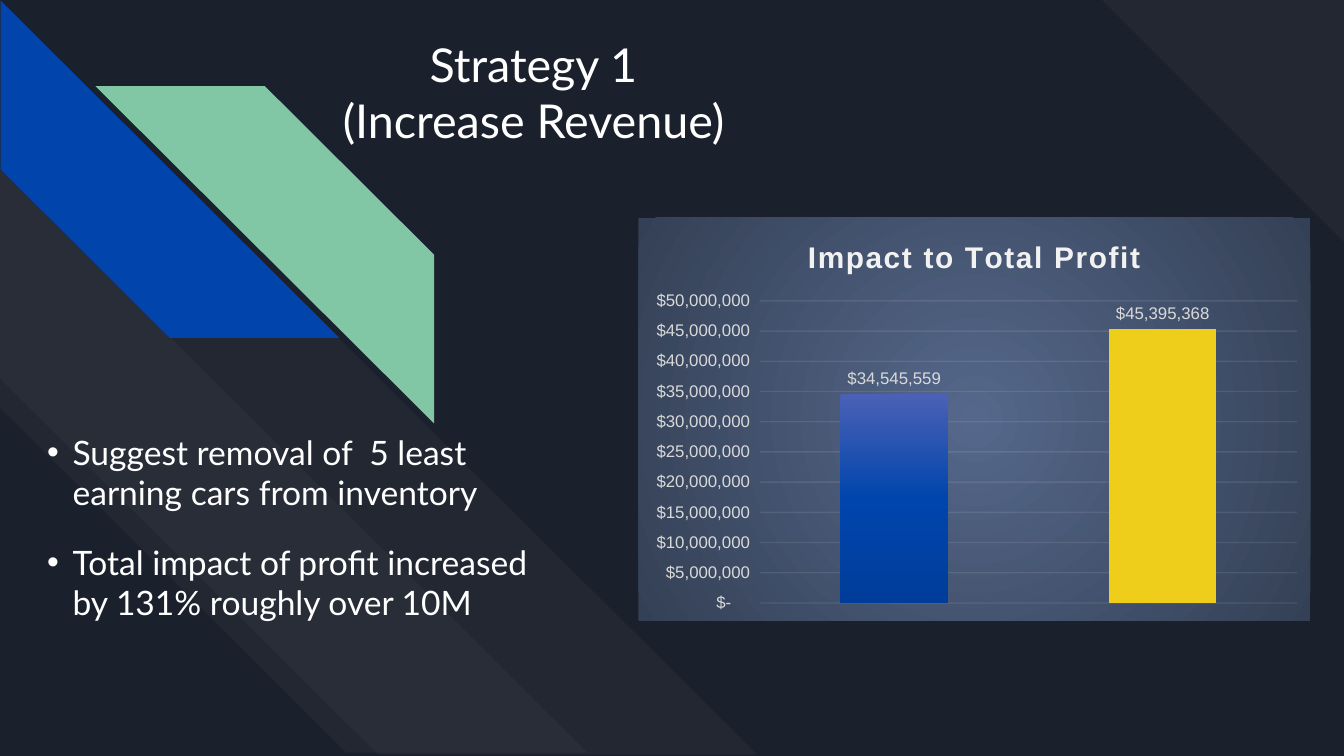
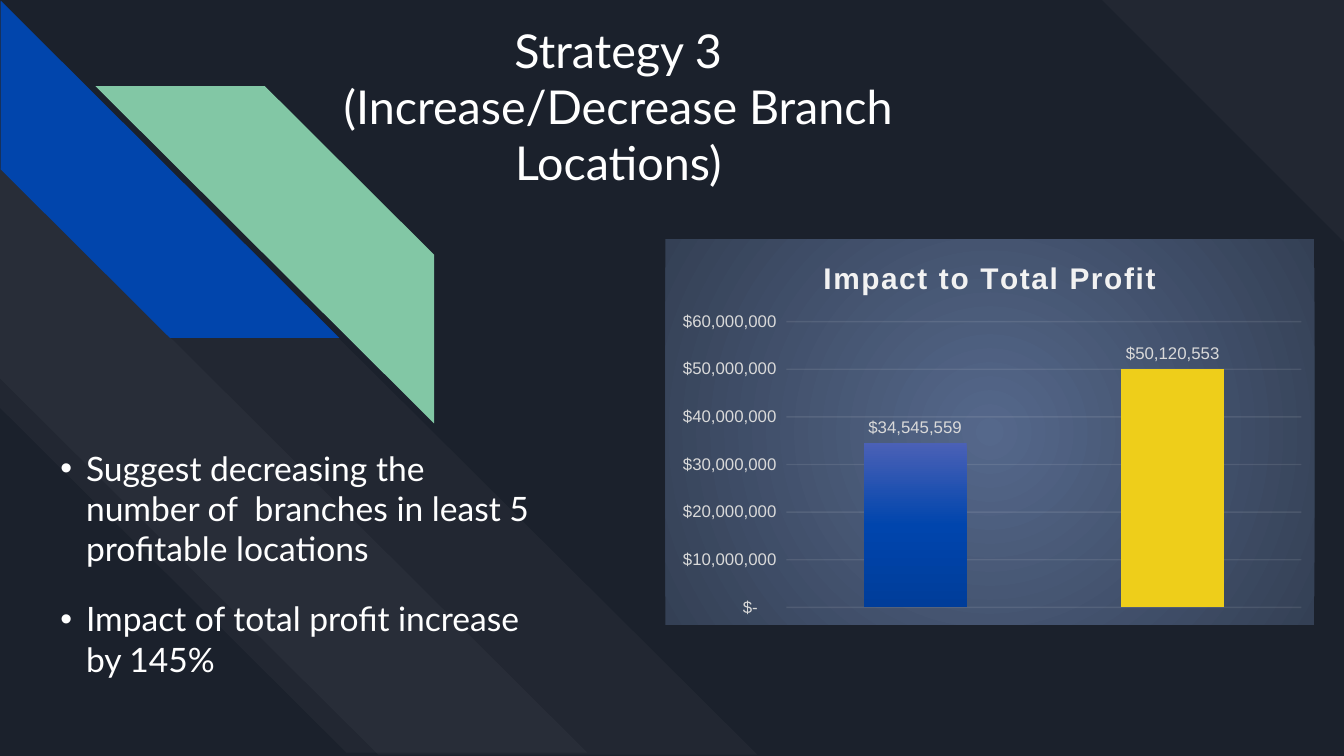
from dataclasses import dataclass

from lxml.etree import SubElement
from pptx import Presentation
from pptx.chart.data import CategoryChartData
from pptx.dml.color import RGBColor
from pptx.enum.chart import XL_CHART_TYPE as ChartType, XL_LABEL_POSITION as LabelPosition
from pptx.enum.chart import XL_TICK_MARK as TickMark
from pptx.enum.shapes import MSO_SHAPE as Preset
from pptx.enum.text import MSO_ANCHOR as Anchor, MSO_AUTO_SIZE as AutoSize, PP_ALIGN as Align
from pptx.oxml import parse_xml
from pptx.oxml.ns import nsdecls, qn
from pptx.util import Inches, Pt


@dataclass(frozen=True)
class Theme:
    night: str = "1B212C"
    white: str = "FFFFFF"
    blue: str = "0145AC"
    mint: str = "82C7A5"
    yellow: str = "EECE1A"
    label: str = "D9D9D9"
    pale: str = "F2F2F2"
    panel: tuple = ((0, "55688B"), (100, "344055"))
    bar: tuple = ((0, "4B61B6"), (50, "0045AD"), (100, "003D9A"))
    text_face: str = "Lato"
    chart_face: str = "Arial"
    title_size: int = 25
    body_size: int = 18
    chart_title_size: int = 16
    chart_size: int = 10
    label_size: int = 9


theme = Theme()
deck = Presentation()
deck.slide_width = Inches(10)
deck.slide_height = deck.slide_width * 9 // 16
COLUMNS = 100
MONEY = '_("$"* #,##0_);_("$"* \\(#,##0\\);_("$"* "-"??_);_(@_)'


def grid(*cells):
    return [round(cell * deck.slide_width / COLUMNS) for cell in cells]


def gradient(stops, direction):
    marks = "".join(
        f'<a:gs pos="{share * 1000}"><a:srgbClr val="{colour}"/></a:gs>' for share, colour in stops
    )
    return parse_xml(f'<a:gradFill {nsdecls("a")}><a:gsLst>{marks}</a:gsLst>{direction}</a:gradFill>')


CIRCLE = '<a:path path="circle"><a:fillToRect l="50000" t="50000" r="50000" b="50000"/></a:path>'
DOWN = '<a:lin ang="5400000" scaled="0"/>'

STRIPES = [
    ((82, 0, 18, 18), 90, 0, theme.white),
    ((0.1, -0.1, 56.1, 56.4), 270, 0.5, theme.white),
    ((0.1, 12.4, 43.5, 43.7), 270, 0.59, theme.white),
    ((0.1, 0, 25.1, 25.2), 270, 0.5, theme.blue),
    ((7.1, 6.4, 25.2, 25.1), 0, 0.5, theme.mint),
]

STRATEGIES = [
    {
        "title": "Strategy 1\v(Increase Revenue)",
        "title_box": (24.1, 1.7, 31.2, 10.4),
        "points": [
            "Suggest removal of  5 least earning cars from inventory",
            "Total impact of profit increased by 131% roughly over 10M",
        ],
        "body_box": (2.5, 25.9, 38, 26.1),
        "body_inset": 6.2,
        "chart_box": (47.5, 16.2, 50, 30),
        "profits": (34545559, 45395368),
        "scale": {"minimum_scale": 0, "maximum_scale": 50000000, "major_unit": 5000000},
    },
    {
        "title": "Strategy 3\v(Increase/Decrease Branch Locations)",
        "title_box": (21.2, 0.6, 49.6, 17.3),
        "points": [
            "Suggest decreasing the number of  branches in least 5 profitable locations",
            "Impact of total profit increase by 145%",
        ],
        "body_box": (3.5, 31.4, 38, 17.7),
        "body_inset": 1.9,
        "chart_box": (49.5, 17.8, 48.3, 28.7),
        "profits": (34545559, 50120553),
        "scale": {"minimum_scale": 0, "maximum_scale": 60000000, "major_unit": 10000000},
    },
]

layout = deck.slide_layouts[0]
layout.background.fill.solid()
layout.background.fill.fore_color.rgb = RGBColor.from_string(theme.night)
for holder in list(layout.placeholders)[2:]:
    holder.element.getparent().remove(holder.element)

pages = [deck.slides.add_slide(layout) for strategy in STRATEGIES]

for order, (cells, turn, cut, colour) in enumerate(STRIPES):
    stripe = pages[0].shapes.add_shape(Preset.DIAGONAL_STRIPE, *grid(*cells))
    stripe.name = f"Stripe {order + 1}"
    stripe.rotation = turn
    stripe.adjustments[0] = cut
    stripe.shadow.inherit = False
    stripe.line.fill.background()
    stripe.fill.solid()
    stripe.fill.fore_color.rgb = RGBColor.from_string(colour)
    if colour == theme.white:
        SubElement(next(stripe.element.iter(qn("a:srgbClr"))), qn("a:alpha"), val="3000")
    if colour == theme.mint:
        stripe.element.spPr.find(qn("a:xfrm")).set("flipH", "1")
    stripe.element.nvSpPr.cNvPr.set("id", str(order + 10))
    layout.shapes._spTree.insert(order + 2, stripe.element)

for page, strategy in zip(pages, STRATEGIES):
    title, body = page.shapes.title, page.placeholders[1]
    title.text_frame.text = strategy["title"]
    body.text_frame.text = "\n".join(strategy["points"])

    for box, cells, size, align, gap, inset in (
        (title, strategy["title_box"], theme.title_size, Align.CENTER, 0, 1),
        (body, strategy["body_box"], theme.body_size, Align.LEFT, 16, strategy["body_inset"]),
    ):
        box.left, box.top, box.width, box.height = grid(*cells)
        side, top = grid(1, inset)
        frame_format = {
            "margin_left": side, "margin_right": side, "margin_bottom": side, "margin_top": top,
            "word_wrap": True, "auto_size": AutoSize.NONE, "vertical_anchor": Anchor.TOP,
        }
        for name, value in frame_format.items():
            setattr(box.text_frame, name, value)
        para_format = {"alignment": align, "space_before": Pt(0), "space_after": Pt(gap), "line_spacing": 1.0}
        for para in box.text_frame.paragraphs:
            for name, value in para_format.items():
                setattr(para, name, value)
            for span in para.runs:
                span.font.name, span.font.size = theme.text_face, Pt(size)
                span.font.color.rgb = RGBColor.from_string(theme.white)

    hang = grid(1.9)[0]
    for para in body.text_frame.paragraphs:
        settings = para._p.get_or_add_pPr()
        settings.set("marL", str(hang))
        settings.set("indent", str(-hang))
        SubElement(SubElement(settings, qn("a:buClr")), qn("a:srgbClr"), val=theme.white)
        SubElement(settings, qn("a:buFont"), typeface=theme.chart_face)
        SubElement(settings, qn("a:buChar"), char="•")

    data = CategoryChartData()
    data.categories = ["1", "2"]
    data.add_series("Series 1", strategy["profits"])
    chart = page.shapes.add_chart(
        ChartType.COLUMN_CLUSTERED, *grid(*strategy["chart_box"]), data
    ).chart
    chart.has_legend = False
    chart.category_axis.visible = False
    chart.has_title = True
    chart.chart_title.include_in_layout = False
    chart.chart_title.text_frame.text = "Impact to Total Profit"
    heading = chart.chart_title.text_frame.paragraphs[0].runs[0]
    heading._r.get_or_add_rPr().set("spc", "100")

    panel = parse_xml(f'<c:spPr {nsdecls("c", "a")}/>')
    panel.append(gradient(theme.panel, CIRCLE))
    SubElement(SubElement(panel, qn("a:ln")), qn("a:noFill"))
    chart._chartSpace.find(qn("c:chart")).addnext(panel)

    axis = chart.value_axis
    axis_format = {"major_tick_mark": TickMark.NONE, "minor_tick_mark": TickMark.NONE, **strategy["scale"]}
    for name, value in axis_format.items():
        setattr(axis, name, value)
    axis.format.line.fill.background()
    grid_line = axis.major_gridlines.format.line
    grid_line.width = Pt(0.75)
    grid_line.color.rgb = RGBColor.from_string(theme.pale)
    grid_colour = next(axis._element.find(qn("c:majorGridlines")).iter(qn("a:srgbClr")))
    SubElement(grid_colour, qn("a:alpha"), val="10000")

    plot = chart.plots[0]
    plot.gap_width = 150
    plot.vary_by_categories = False
    bars = plot.series[0]
    bars.invert_if_negative = False
    bars._element.get_or_add_spPr().append(gradient(theme.bar, DOWN))
    raised = bars.points[1].format.fill
    raised.solid()
    raised.fore_color.rgb = RGBColor.from_string(theme.yellow)
    labels = bars.data_labels
    labels.show_value = True
    labels.position = LabelPosition.OUTSIDE_END

    for part in (axis.tick_labels, labels):
        part.number_format = MONEY
        part.number_format_is_linked = False
    for font, size, colour, bold in (
        (chart.font, theme.chart_size, theme.night, False),
        (heading.font, theme.chart_title_size, theme.pale, True),
        (axis.tick_labels.font, theme.label_size, theme.label, False),
        (labels.font, theme.label_size, theme.label, False),
    ):
        font.name, font.size, font.bold = theme.chart_face, Pt(size), bold
        font.color.rgb = RGBColor.from_string(colour)

deck.save("out.pptx")
